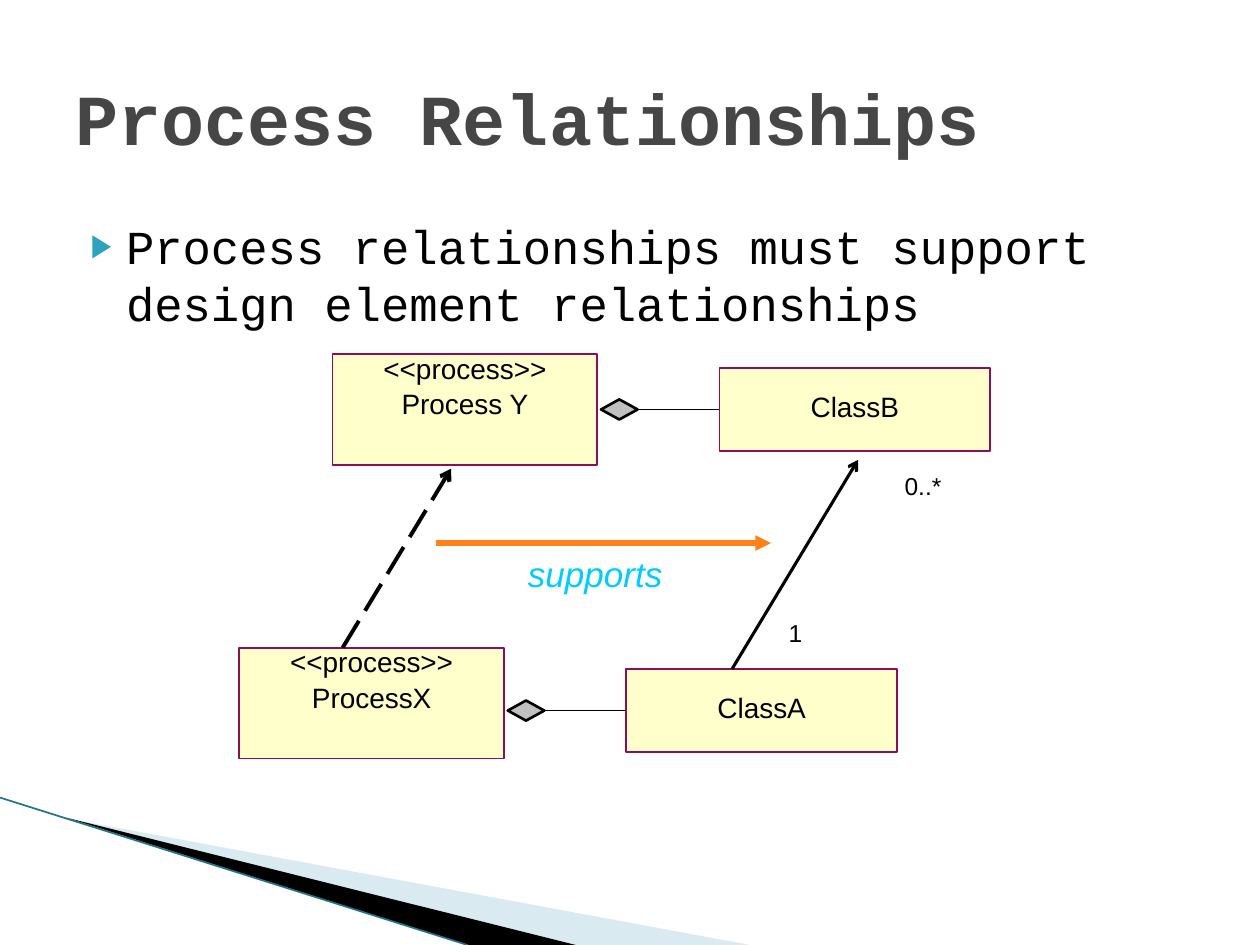
"""Build the Process Relationships slide on a grid of 100 columns by 75 rows."""
from lxml.etree import SubElement
from pptx import Presentation
from pptx.dml.color import RGBColor
from pptx.enum.dml import MSO_LINE
from pptx.enum.shapes import MSO_CONNECTOR, MSO_SHAPE
from pptx.enum.text import MSO_ANCHOR, PP_ALIGN
from pptx.oxml.ns import qn
from pptx.util import Inches, Pt

TITLE = "Process Relationships"
STATEMENT = "Process relationships must support design element relationships"
CODE_FONT, DIAGRAM_FONT = "Courier New", "Arial"
BLACK, BOX_FILL, BOX_LINE, DIAMOND_FILL = "000000", "FFFFCC", "8A0E5E", "C0C0C0"
PROCESS_SIZE, CLASS_SIZE, DIAMOND_SIZE = (21, 8.8), (21.5, 6.6), (2.9, 1.6)
PAIRS = [
    {"process": ["<<process>>", "Process Y"], "process_at": (26.4, 28.1),
     "class": ["ClassB"], "class_at": (57.1, 29.2)},
    {"process": ["<<process>>", "ProcessX"], "process_at": (19, 51.4),
     "class": ["ClassA"], "class_at": (49.7, 53.1)},
]
LABELS = [
    ("0..*", (70.6, 37.2, 8.3, 3.2), 14, BLACK, False),
    ("1", (61.4, 48.9, 8.3, 3.2), 14, BLACK, False),
    ("supports", (40.7, 43.9, 14.2, 4.5), 20, "00CCFF", True),
]
ARROWS = [
    ((58.1, 53.1), (68.1, 36.5), BLACK, 1.75, None, "arrow"),
    ((27.2, 51.4), (35.8, 37.2), BLACK, 2.25, MSO_LINE.LONG_DASH, "arrow"),
    ((34.6, 43.1), (61.2, 43.1), "FF8119", 3, None, "triangle"),
]
SWOOSHES = [
    ([(5.5, 65), (59.5, 75), (45.6, 75)], "A0CBDC", 40),
    ([(5.3, 64.9), (45.7, 75), (37.2, 75)], BLACK, 100),
]
SWOOSH_EDGE = ((0, 63.3), (37.1, 75), "1F7487", 0.95)

deck = Presentation()
deck.slide_width, deck.slide_height = Inches(10), Inches(7.5)
CELL = deck.slide_width / 100
slide = deck.slides.add_slide(deck.slide_layouts[1])
shapes = slide.shapes


def grid(*cells):
    return [round(cell * CELL) for cell in cells]


def rgb(code):
    return RGBColor.from_string(code)


def style_text(paragraph, font, size, color, bold=False, italic=False):
    for run in paragraph.runs:
        run.font.name, run.font.size = font, Pt(size)
        run.font.bold, run.font.italic = bold, italic
        run.font.color.rgb = rgb(color)


def add_line(start, end, color, width, dash=None, head=None):
    line = shapes.add_connector(MSO_CONNECTOR.STRAIGHT, *grid(*start, *end))
    line.line.color.rgb, line.line.width = rgb(color), Pt(width)
    if dash:
        line.line.dash_style = dash
    if head:
        SubElement(line.line._get_or_add_ln(), qn("a:tailEnd"), type=head)
    SubElement(line._element.spPr, qn("a:effectLst"))
    return line


def add_filled(kind, at, size, fill, color, width):
    shape = shapes.add_shape(kind, *grid(*at, *size))
    shape.shadow.inherit = False
    shape.fill.solid()
    shape.fill.fore_color.rgb = rgb(fill)
    shape.line.color.rgb, shape.line.width = rgb(color), Pt(width)
    return shape


def add_box(lines, at, size, anchor):
    box = add_filled(MSO_SHAPE.RECTANGLE, at, size, BOX_FILL, BOX_LINE, 1)
    frame = box.text_frame
    frame.text = "\n".join(lines)
    frame.vertical_anchor = anchor
    frame.margin_top = frame.margin_bottom = Inches(0.03)
    for index, paragraph in enumerate(frame.paragraphs):
        paragraph.alignment = PP_ALIGN.CENTER
        paragraph.line_spacing = 0.8
        paragraph.space_before = Pt(5 if index else 0)
        style_text(paragraph, DIAGRAM_FONT, 16, BLACK)
    return box


def add_pair(pair):
    left, top = pair["process_at"]
    middle = pair["class_at"][1] + CLASS_SIZE[1] / 2
    add_box(pair["process"], (left, top), PROCESS_SIZE, MSO_ANCHOR.TOP)
    class_box = add_box(pair["class"], pair["class_at"], CLASS_SIZE, MSO_ANCHOR.MIDDLE)
    diamond_at = left + PROCESS_SIZE[0] + 0.3, middle - DIAMOND_SIZE[1] / 2
    diamond = add_filled(MSO_SHAPE.DIAMOND, diamond_at, DIAMOND_SIZE, DIAMOND_FILL, BLACK, 1.5)
    link = add_line((0, 0), (1, 1), BLACK, 1)
    link.begin_connect(diamond, 3)
    link.end_connect(class_box, 1)


def add_label(text, at, size, color, italic):
    frame = shapes.add_textbox(*grid(*at)).text_frame
    frame.word_wrap = True
    frame.margin_left = frame.margin_right = Inches(0.12)
    frame.margin_top = frame.margin_bottom = Inches(0.06)
    frame.text = text
    frame.paragraphs[0].line_spacing = 0.8
    style_text(frame.paragraphs[0], DIAGRAM_FONT, size, color, italic=italic)


def add_swoosh(points, color, opacity):
    corners = [grid(*point) for point in points]
    builder = shapes.build_freeform(*corners[0])
    builder.add_line_segments(corners[1:], close=True)
    swoosh = builder.convert_to_shape()
    swoosh.shadow.inherit = False
    swoosh.fill.solid()
    swoosh.fill.fore_color.rgb = rgb(color)
    swoosh.line.fill.background()
    tint = swoosh._element.spPr.find(".//" + qn("a:srgbClr"))
    SubElement(tint, qn("a:alpha"), val=str(opacity * 1000))


def fill_placeholder(holder, text, at, size, color, bold, anchor):
    holder.left, holder.top, holder.width, holder.height = grid(*at)
    holder.text_frame.text = text
    holder.text_frame.vertical_anchor = anchor
    paragraph = holder.text_frame.paragraphs[0]
    paragraph.alignment = PP_ALIGN.LEFT
    style_text(paragraph, CODE_FONT, size, color, bold)
    return paragraph


def add_bullet(paragraph):
    props = paragraph._p.get_or_add_pPr()
    props.set("marL", str(Inches(0.4)))
    props.set("indent", str(Inches(-0.28)))
    SubElement(SubElement(props, qn("a:buClr")), qn("a:srgbClr"), val="2DA2BF")
    SubElement(props, qn("a:buSzPct"), val="68000")
    SubElement(props, qn("a:buFont"), typeface=DIAGRAM_FONT)
    SubElement(props, qn("a:buChar"), char="▶")
    paragraph.space_before, paragraph.line_spacing = Pt(0), Pt(32.6)


for swoosh_parts in SWOOSHES:
    add_swoosh(*swoosh_parts)
add_line(*SWOOSH_EDGE)
for process_pair in PAIRS:
    add_pair(process_pair)
for arrow in ARROWS:
    add_line(*arrow)
for label in LABELS:
    add_label(*label)
fill_placeholder(shapes.title, TITLE, (5, 3, 90, 12.5), 41, "464646", True, MSO_ANCHOR.MIDDLE)
statement = fill_placeholder(slide.placeholders[1], STATEMENT, (5, 16.7, 90, 49),
                             27, BLACK, False, MSO_ANCHOR.TOP)
add_bullet(statement)
deck.save("out.pptx")
